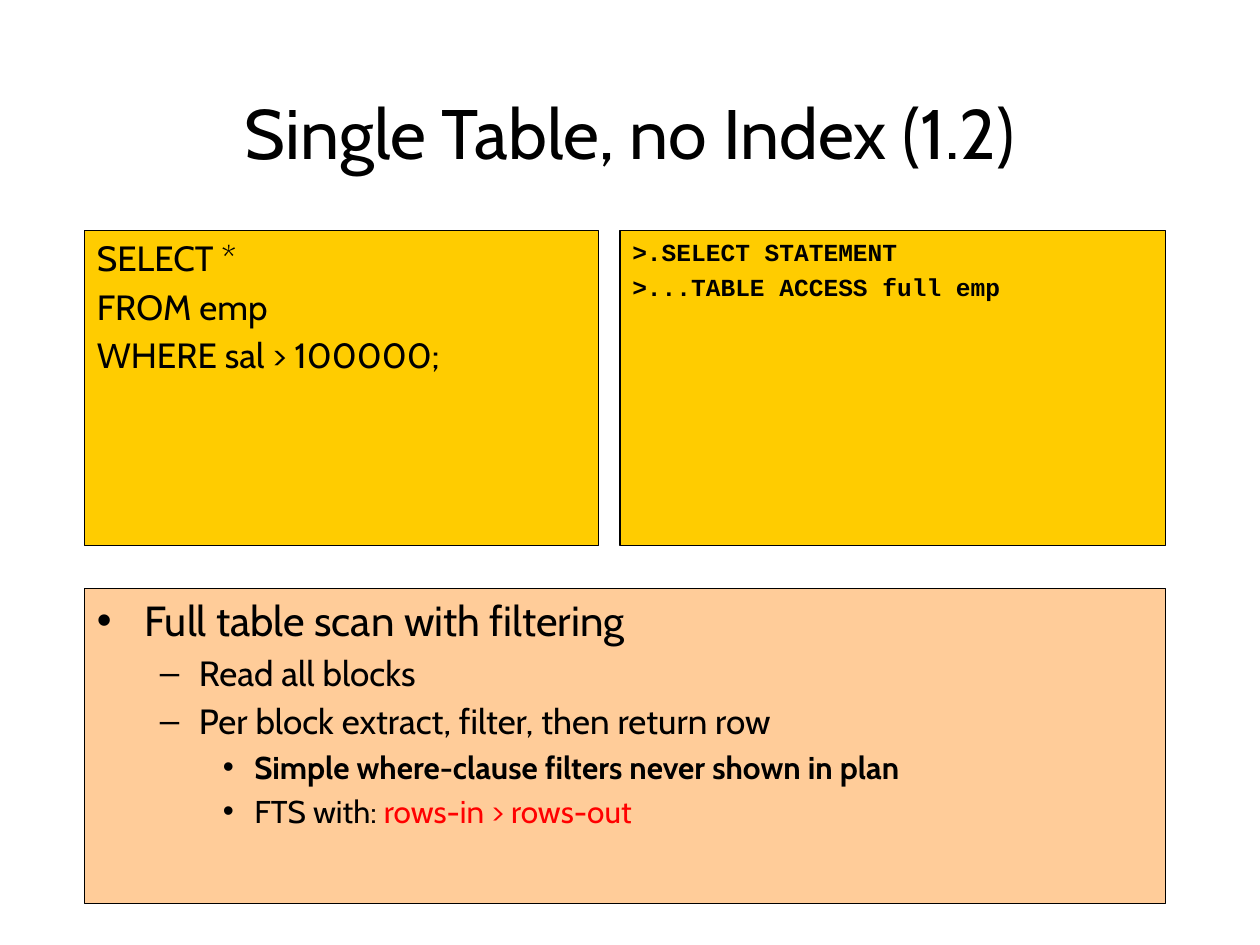
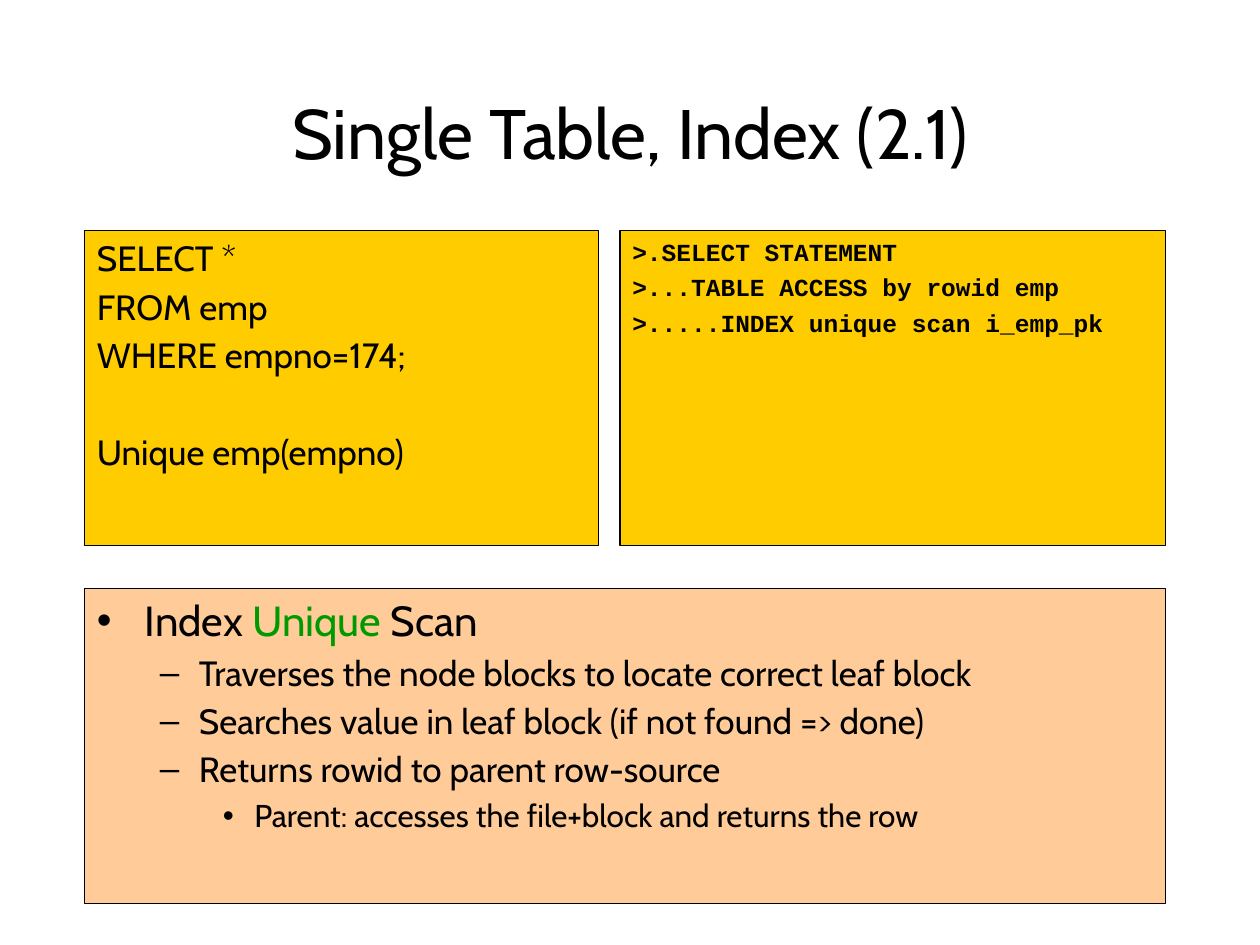
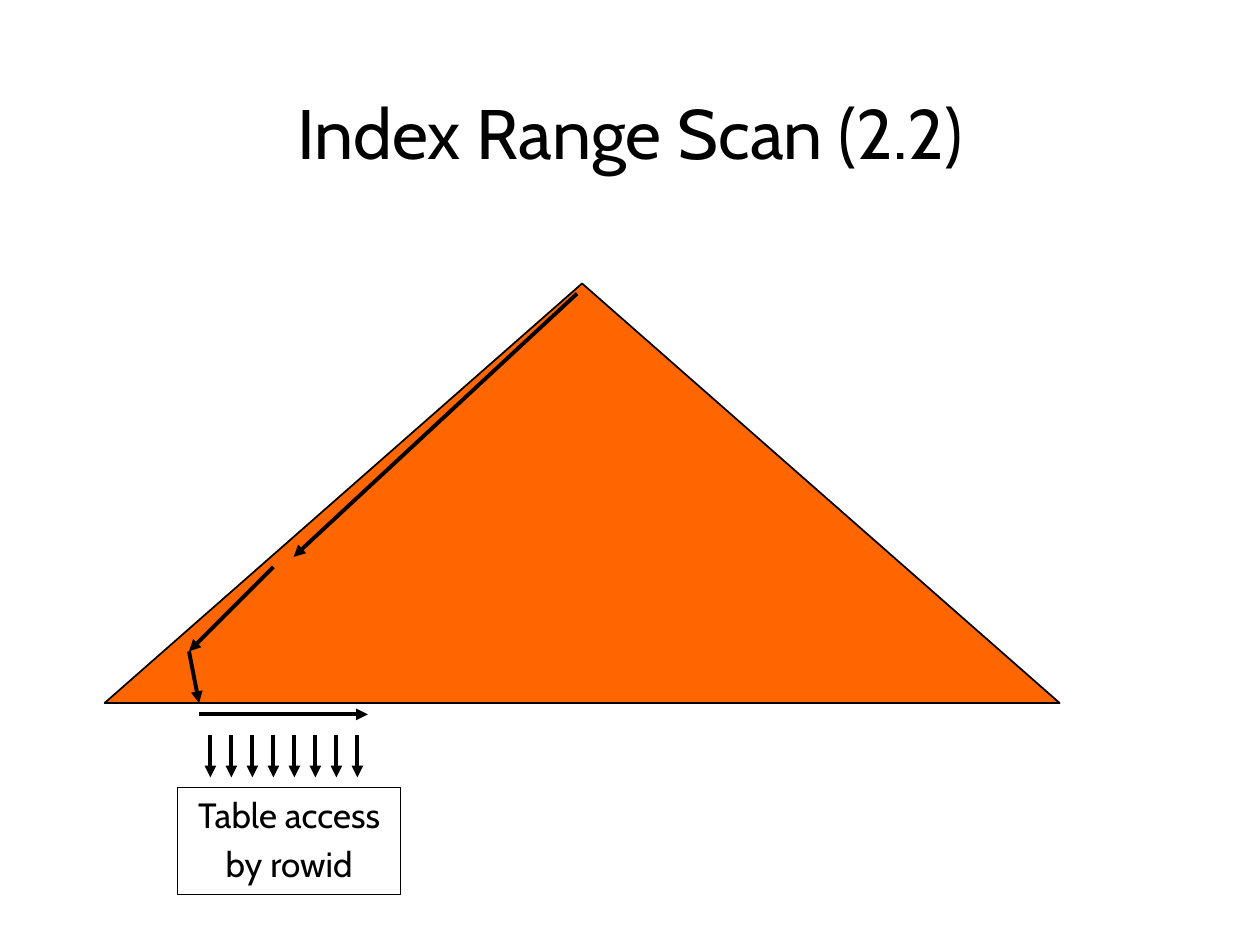
from lxml import etree
from pptx import Presentation
from pptx.dml.color import RGBColor
from pptx.enum import shapes, text
from pptx.oxml import ns
from pptx.util import Inches, Pt

BLACK = RGBColor(0x00, 0x00, 0x00)
RED = RGBColor(0xFF, 0x00, 0x00)
GREEN = RGBColor(0x00, 0x99, 0x00)
YELLOW = RGBColor(0xFF, 0xCC, 0x00)
PEACH = RGBColor(0xFF, 0xCC, 0x99)
ORANGE = RGBColor(0xFF, 0x66, 0x00)
BODY_FONT = "Cabin"
CODE_FONT = "Courier New"
LINE_GAP = 3.6
BLANK_LINE = 28
HANGING = (0.38, -0.38)
LEVELS = [(24, HANGING, "\u2022"), (20, (0.81, -0.31), "\u2013"), (18, (1.25, -0.25), "\u2022")]

TITLE_BOX = (0.75, 0.67, 8.5, 0.75)
QUERY_BOX = (0.67, 1.83, 4.08, 2.5)
PLAN_BOX = (4.92, 1.83, 4.33, 2.5)
NOTES_BOX = (0.67, 4.67, 8.58, 2.5)
TREE_BOX = (0.83, 2.25, 7.58, 3.33)


def add_run(paragraph, words, size, font=BODY_FONT, color=BLACK, bold=False):
    """Append one styled run."""
    run = paragraph.add_run()
    run.text = words
    run.font.size = Pt(size)
    run.font.name = font
    run.font.bold = bold
    run.font.color.rgb = color


def next_paragraph(frame, index, gap=LINE_GAP, indent=None, bullet=None,
                   align=text.PP_ALIGN.LEFT):
    """Return a paragraph with its spacing, indent and bullet set."""
    paragraph = frame.add_paragraph() if index else frame.paragraphs[0]
    paragraph.alignment = align
    paragraph.space_before = Pt(gap)
    properties = paragraph._p.get_or_add_pPr()
    if indent:
        margin, first_line = indent
        properties.set("marL", str(Inches(margin)))
        properties.set("indent", str(Inches(first_line)))
    if bullet:
        etree.SubElement(properties, ns.qn("a:buFont"), typeface="Arial")
        etree.SubElement(properties, ns.qn("a:buChar"), char=bullet)
    return paragraph


def add_panel(slide, box, fill=None, width=0.75, preset=shapes.MSO_SHAPE.RECTANGLE):
    """Draw an outlined shape and return its text frame."""
    panel = slide.shapes.add_shape(preset, *map(Inches, box))
    panel.shadow.inherit = False
    if fill is None:
        panel.fill.background()
    else:
        panel.fill.solid()
        panel.fill.fore_color.rgb = fill
    panel.line.color.rgb = BLACK
    panel.line.width = Pt(width)
    frame = panel.text_frame
    frame.vertical_anchor = text.MSO_ANCHOR.TOP
    frame.word_wrap = True
    return frame


def add_title(slide, words, box=TITLE_BOX):
    """Place the centred slide title."""
    frame = slide.shapes.add_textbox(*map(Inches, box)).text_frame
    frame.word_wrap = True
    frame.vertical_anchor = text.MSO_ANCHOR.MIDDLE
    add_run(next_paragraph(frame, 0, 0, align=text.PP_ALIGN.CENTER), words, 40)


def add_code(slide, box, blocks, size, font=BODY_FONT, bold=False):
    """Fill a yellow panel with blocks of code, one line apart."""
    frame = add_panel(slide, box, YELLOW)
    index = 0
    for block in blocks:
        for row, line in enumerate(block):
            gap = LINE_GAP + (BLANK_LINE if index and row == 0 else 0)
            add_run(next_paragraph(frame, index, gap, HANGING), line, size, font, bold=bold)
            index += 1


def add_notes(slide, box, points):
    """Fill a peach panel with bullets given as a level and styled pieces."""
    frame = add_panel(slide, box, PEACH)
    for index, (level, *pieces) in enumerate(points):
        size, indent, bullet = LEVELS[level]
        paragraph = next_paragraph(frame, index, LINE_GAP, indent, bullet)
        for words, style in pieces:
            add_run(paragraph, words, size, **style)


def add_arrow(slide, start, end):
    """Draw a black arrow between two points in inches."""
    arrow = slide.shapes.add_connector(
        shapes.MSO_CONNECTOR.STRAIGHT, *map(Inches, (*start, *end)))
    arrow.line.color.rgb = BLACK
    arrow.line.width = Pt(2.25)
    etree.SubElement(arrow.line._get_or_add_ln(), ns.qn("a:tailEnd"), type="triangle")
    etree.SubElement(arrow._element.spPr, ns.qn("a:effectLst"))


def add_index_tree(slide, box):
    """Draw the index triangle, the descent, the leaf scan and the row lookups."""
    left, top, width, height = box
    add_panel(slide, box, ORANGE, 1, shapes.MSO_SHAPE.FLOWCHART_EXTRACT)
    base = top + height
    leaf = left + 0.75
    descent = [((3.75, 0.08), (1.5, 2.17)),
               ((1.34, 2.25), (0.67, 2.92)),
               ((0.67, 2.92), (0.75, height))]
    for start, end in descent:
        add_arrow(slide, *((left + x, top + y) for x, y in (start, end)))
    add_arrow(slide, (leaf, base + 0.09), (leaf + 1.34, base + 0.09))
    for lookup in range(8):
        x = leaf + 0.09 + lookup / 6
        add_arrow(slide, (x, base + 0.25), (x, base + 0.59))
    frame = add_panel(slide, (leaf - 0.17, base + 0.67, 1.77, 0.85), width=1)
    frame.word_wrap = False
    frame.auto_size = text.MSO_AUTO_SIZE.SHAPE_TO_FIT_TEXT
    for index, line in enumerate(["Table access", "by rowid"]):
        add_run(next_paragraph(frame, index, align=text.PP_ALIGN.CENTER), line, 20)


def new_slide(deck, title):
    """Add a blank slide with its title."""
    slide = deck.slides.add_slide(deck.slide_layouts[6])
    add_title(slide, title)
    return slide


def add_query_slide(deck, title, query, plan, points):
    """Build a slide with a query, its plan and the notes on it."""
    slide = new_slide(deck, title)
    add_notes(slide, NOTES_BOX, points)
    add_code(slide, PLAN_BOX, [plan], 14, CODE_FONT, bold=True)
    add_code(slide, QUERY_BOX, query, 20)


def main():
    """Build and save the deck."""
    deck = Presentation()
    deck.slide_width, deck.slide_height = Inches(10), Inches(7.5)
    add_query_slide(
        deck, "Single Table, no Index (1.2)",
        [["SELECT *", "FROM emp", "WHERE sal > 100000;"]],
        [">.SELECT STATEMENT", ">...TABLE ACCESS full emp"],
        [(0, ("Full table scan with filtering", {})),
         (1, ("Read all blocks", {})),
         (1, ("Per block extract, filter, then return row", {})),
         (2, ("Simple where-clause filters never shown in plan", {"bold": True})),
         (2, ("FTS with: ", {}), ("rows-in > rows-out", {"color": RED}))])
    add_query_slide(
        deck, "Single Table, Index (2.1)",
        [["SELECT *", "FROM emp", "WHERE empno=174;"], ["Unique emp(empno)"]],
        [">.SELECT STATEMENT", ">...TABLE ACCESS by rowid emp",
         ">.....INDEX unique scan i_emp_pk"],
        [(0, ("Index ", {}), ("Unique", {"color": GREEN}), (" Scan", {})),
         (1, ("Traverses the node blocks to locate correct leaf block", {})),
         (1, ("Searches value in leaf block (if not found => done)", {})),
         (1, ("Returns rowid to parent row-source", {})),
         (2, ("Parent: accesses the file+block and returns the row", {}))])
    add_index_tree(new_slide(deck, "Index Range Scan (2.2)"), TREE_BOX)
    deck.save("out.pptx")


main()
